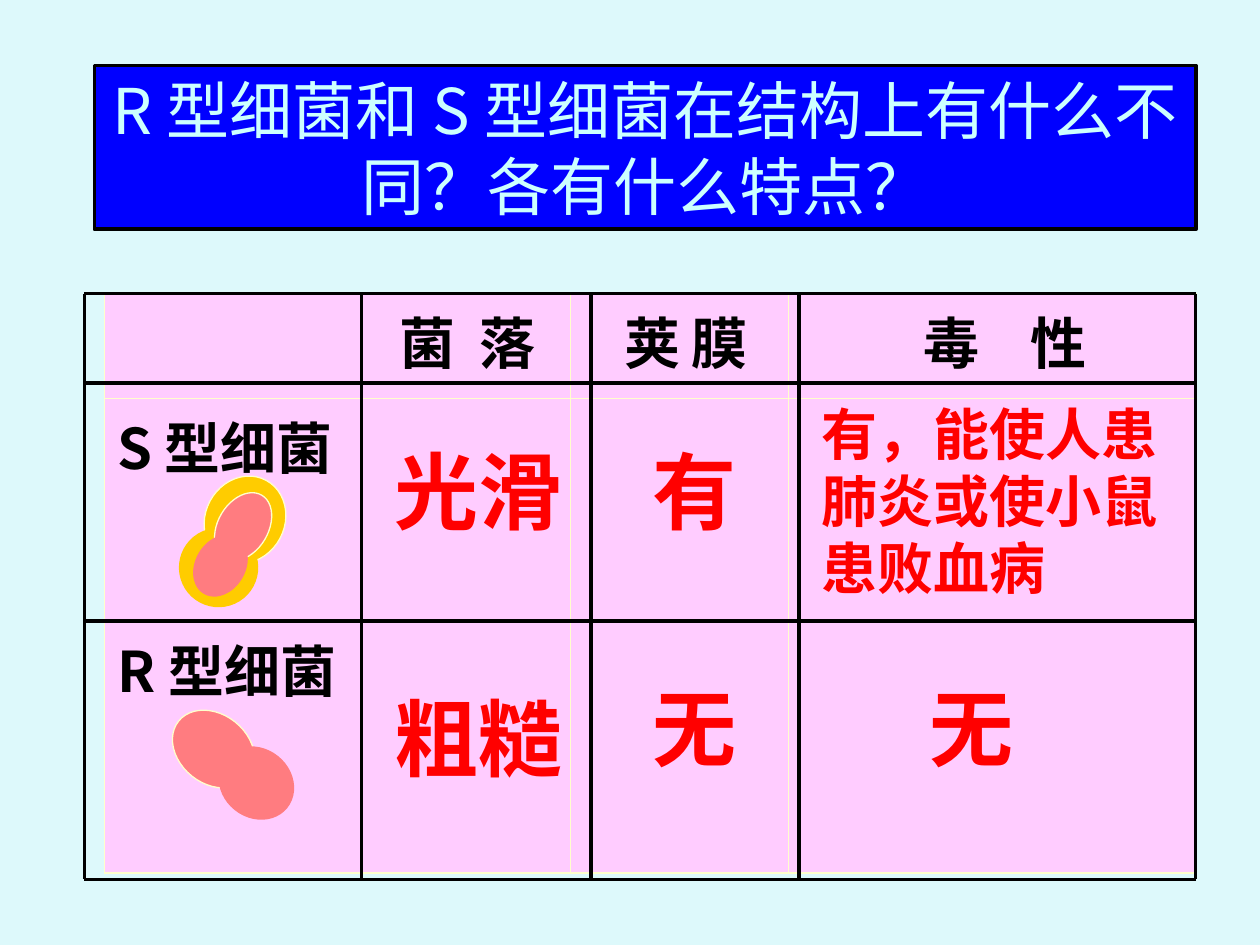
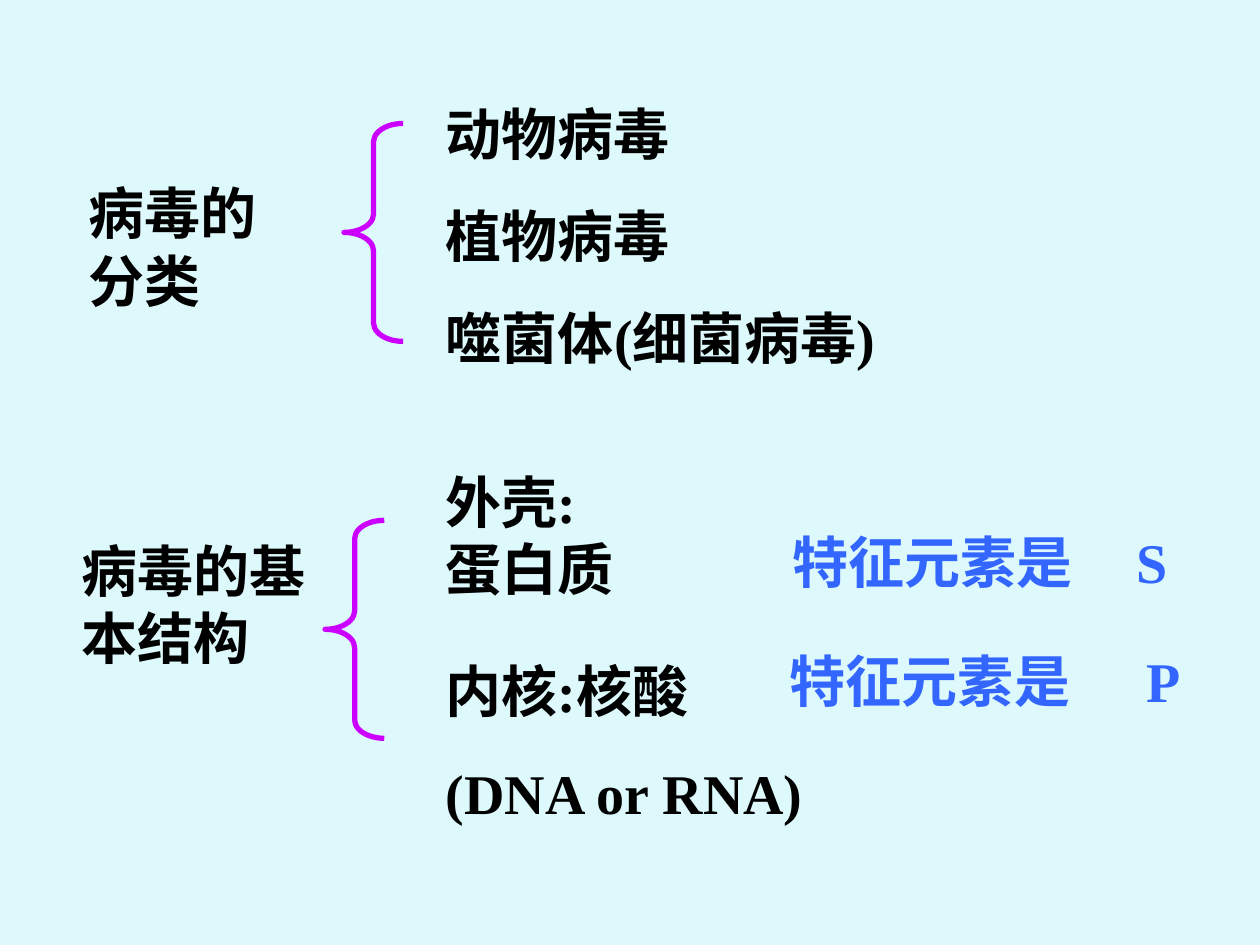
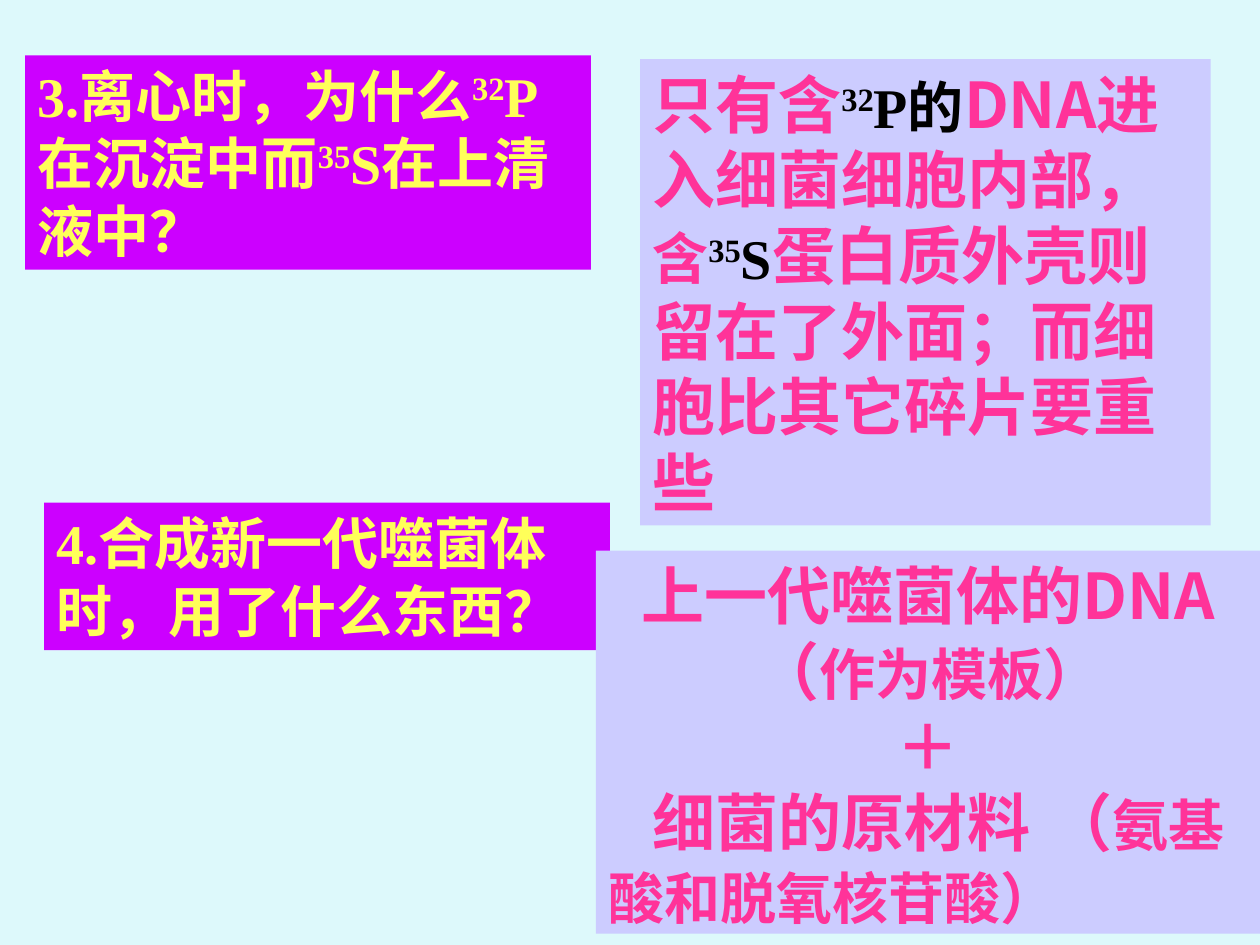
from dataclasses import dataclass

from lxml import etree
from pptx import Presentation
from pptx.dml.color import RGBColor
from pptx.enum.shapes import MSO_CONNECTOR, MSO_SHAPE
from pptx.enum.text import MSO_ANCHOR, MSO_AUTO_SIZE, PP_ALIGN
from pptx.oxml.ns import qn
from pptx.util import Inches, Pt

LEFT, CENTER = PP_ALIGN.LEFT, PP_ALIGN.CENTER
TOP = MSO_ANCHOR.TOP
NO_AUTOFIT = MSO_AUTO_SIZE.NONE
RECTANGLE, OVAL, BRACE = MSO_SHAPE.RECTANGLE, MSO_SHAPE.OVAL, MSO_SHAPE.LEFT_BRACE
STRAIGHT = MSO_CONNECTOR.STRAIGHT
TITLE_ONLY, BLANK = 5, 6


@dataclass(frozen=True)
class Theme:
    background: str = "DDF9FB"
    black: str = "000000"
    title_fill: str = "0000FF"
    title_text: str = "CCFFFF"
    cell: str = "FFCCFF"
    cream: str = "FFFFCC"
    capsule: str = "FFCC00"
    bacterium: str = "FF7C80"
    value: str = "FF0000"
    violet: str = "CC00FF"
    element: str = "3366FF"
    question: str = "FFFF59"
    answer_fill: str = "CCCCFF"
    answer: str = "FF3399"
    sans: str = "Noto Sans CJK SC"
    serif: str = "Times New Roman"
    body: int = 32
    large: int = 36
    huge: int = 48
    inset: float = 0.1
    line_height: float = 1.2


THEME = Theme()


@dataclass(frozen=True)
class Style:
    color: str
    size: int = THEME.body
    font: str = THEME.sans
    bold: bool = True
    raised: bool = False


TITLE = Style(THEME.title_text, THEME.large, bold=False)
LABEL = Style(THEME.black)
VALUE = Style(THEME.value, THEME.huge)
EFFECT = Style(THEME.value)
OUTLINE = Style(THEME.black, font=THEME.serif)
ELEMENT = Style(THEME.element, font=THEME.serif)
QUESTION = Style(THEME.question, font=THEME.serif)
QUESTION_MASS = Style(THEME.question, font=THEME.serif, raised=True)
ANSWER = Style(THEME.answer, THEME.large)
ANSWER_DETAIL = Style(THEME.answer)
ISOTOPE_MASS = Style(THEME.black, font=THEME.serif, raised=True)


def rgb(value):
    return RGBColor.from_string(value)


def inches(*lengths):
    return [Inches(length) for length in lengths]


def style_span(span, style):
    span.font.size = Pt(style.size)
    span.font.bold = style.bold
    span.font.name = style.font
    span.font.color.rgb = rgb(style.color)
    properties = span._r.get_or_add_rPr()
    etree.SubElement(properties, qn("a:ea"), typeface=THEME.sans)
    if style.raised:
        properties.set("baseline", "30000")


def add_tab(para, position):
    stops = etree.SubElement(para._p.get_or_add_pPr(), qn("a:tabLst"))
    etree.SubElement(stops, qn("a:tab"), pos=str(Inches(position)), algn="l")


def write_para(para, spans, align=LEFT, tab=None):
    """Fill a paragraph with (text, style) pairs."""
    para.alignment = align
    para._p.get_or_add_pPr().set("hangingPunct", "0")
    if tab:
        add_tab(para, tab)
    for text, style in spans:
        span = para.add_run()
        span.text = text
        style_span(span, style)


def write_box(box, paras, align=LEFT, gap=0, left=THEME.inset, tab=None):
    """Write paragraphs, each a list of (text, style) pairs."""
    frame = box.text_frame
    frame.word_wrap = True
    frame.auto_size = NO_AUTOFIT
    frame.vertical_anchor = TOP
    frame.margin_left, frame.margin_right = inches(left, THEME.inset)
    frame.margin_top, frame.margin_bottom = inches(0.05, 0.05)
    size = max(style.size for spans in paras for _, style in spans)
    for index, spans in enumerate(paras):
        para = frame.add_paragraph() if index else frame.paragraphs[0]
        para.line_spacing = Pt(THEME.line_height * size)
        para.space_before = Pt(gap if index else 0)
        write_para(para, spans, align, tab)


def add_text(page, place, lines, style, **layout):
    box = page.shapes.add_textbox(*inches(*place))
    write_box(box, [[(line, style)] for line in lines], **layout)


def paint(shape, fill=None, line=None, width=0.75):
    if fill:
        shape.fill.solid()
        shape.fill.fore_color.rgb = rgb(fill)
    else:
        shape.fill.background()
    if line:
        shape.line.color.rgb = rgb(line)
        shape.line.width = Pt(width)
    else:
        shape.line.fill.background()


def add_panel(page, place, fill, paras):
    panel = page.shapes.add_shape(RECTANGLE, *inches(*place))
    panel.shadow.inherit = False
    paint(panel, fill)
    write_box(panel, paras)
    return panel


def add_cells(page, ovals):
    """Group the ovals (place, rotation, fill, outline) of one bacterium."""
    group = page.shapes.add_group_shape()
    for place, rotation, fill, outline in ovals:
        oval = group.shapes.add_shape(OVAL, *inches(*place))
        oval.shadow.inherit = False
        oval.rotation = rotation
        paint(oval, fill, outline)


def add_brace(page, left, top):
    brace = page.shapes.add_shape(BRACE, *inches(left, top, 0.47, 1.73))
    brace.shadow.inherit = False
    brace.adjustments[0] = 0.31
    paint(brace, line=THEME.violet, width=3)


def add_line(page, x1, y1, x2, y2):
    line = page.shapes.add_connector(STRAIGHT, *inches(x1, y1, x2, y2))
    line.line.color.rgb = rgb(THEME.black)
    line.line.width = Pt(2)
    etree.SubElement(line._element.spPr, qn("a:effectLst"))


def add_border(cell, index, side, width):
    line = etree.Element(qn("a:" + side), w=str(Pt(width)))
    fill = etree.SubElement(line, qn("a:solidFill"))
    etree.SubElement(fill, qn("a:srgbClr"), val=THEME.cream)
    cell._tc.get_or_add_tcPr().insert(index, line)


def add_comparison_table(page):
    widths, heights = (2.05, 1.65, 1.73, 3.23), (0.83, 1.77, 2)
    # Cell: text, left inset, tab stop
    texts = {
        (0, 1): ("菌\t落", 0.29, 0.64),
        (0, 2): ("荚\t膜", 0.43, 0.53),
        (0, 3): ("毒\t性", 1.07, 0.85),
        (1, 0): ("S 型细菌", THEME.inset, None),
        (2, 0): ("R 型细菌", THEME.inset, None),
    }
    place = inches(0.83, 2.33, sum(widths), sum(heights))
    table = page.shapes.add_table(len(heights), len(widths), *place).table
    table.first_row = table.horz_banding = False
    for column, width in zip(table.columns, widths):
        column.width = Inches(width)
    for row, height in zip(table.rows, heights):
        row.height = Inches(height)
    for r in range(len(heights)):
        for c in range(len(widths)):
            cell = table.cell(r, c)
            cell.fill.solid()
            cell.fill.fore_color.rgb = rgb(THEME.cell)
            outer = {"lnR": c == len(widths) - 1, "lnB": r == len(heights) - 1}
            for index, side in enumerate(("lnL", "lnR", "lnT", "lnB")):
                add_border(cell, index, side, 1.08 if outer.get(side) else 0.45)
            if (r, c) in texts:
                text, left, tab = texts[r, c]
                cell.margin_left = Inches(left)
                write_para(cell.text_frame.paragraphs[0], [(text, LABEL)], tab=tab)


def build_comparison(deck):
    page = deck.slides.add_slide(deck.slide_layouts[TITLE_ONLY])
    title = page.shapes.title
    title.left, title.top, title.width, title.height = inches(0.75, 0.52, 8.74, 1.3)
    paint(title, THEME.title_fill, THEME.black, 2.25)
    question = "R 型细菌和 S 型细菌在结构上有什么不同？各有什么特点？"
    write_box(title, [[(question, TITLE)]], align=CENTER)

    add_comparison_table(page)

    # S type with its capsule, then R type without one
    add_cells(page, [
        ((1.63, 3.77, 0.63, 0.71), 28.2, THEME.capsule, THEME.cream),
        ((1.42, 4.19, 0.63, 0.63), 28.2, THEME.capsule, None),
        ((1.73, 3.89, 0.4, 0.58), 30.7, THEME.bacterium, THEME.cream),
        ((1.55, 4.23, 0.4, 0.52), 30.7, THEME.bacterium, None),
    ])
    add_cells(page, [
        ((1.42, 5.59, 0.55, 0.71), 308.6, THEME.bacterium, THEME.cream),
        ((1.76, 5.9, 0.55, 0.63), 308.6, THEME.bacterium, None),
    ])

    # Answers over the table
    for text, left, top, width in (
        ("粗糙", 3.03, 5.4, 1.57), ("无", 5.08, 5.32, 1.65),
        ("光滑", 3.03, 3.44, 1.57), ("有", 5.08, 3.44, 1.02),
        ("无", 7.28, 5.32, 1.1),
    ):
        add_text(page, (left, top, width, 0.9), [text], VALUE)
    add_text(page, (6.42, 3.12, 3.23, 1.7),
             ["有，能使人患肺炎或使小鼠患败血病"], EFFECT)

    # Black grid
    columns, rows = (0.67, 2.87, 4.69, 6.34, 9.49), (2.33, 3.04, 4.93, 6.98)
    for x in columns:
        add_line(page, x, rows[0], x, rows[-1])
    for y in rows:
        add_line(page, columns[0], y, columns[-1], y)


def build_virus_outline(deck):
    page = deck.slides.add_slide(deck.slide_layouts[BLANK])
    add_brace(page, 2.58, 4.13)
    add_brace(page, 2.73, 0.98)
    for place, lines in (
        ((0.6, 1.37, 1.65, 1.17), ["病毒的分类"]),
        ((3.44, 0.74, 3.62, 2.79), ["动物病毒", "植物病毒", "噬菌体(细菌病毒)"]),
        ((0.55, 4.21, 2.13, 1.17), ["病毒的基本结构"]),
        ((3.44, 3.66, 1.57, 1.17), ["外壳:蛋白质"]),
        ((3.44, 5.16, 3.54, 1.45), ["内核:核酸", "(DNA or RNA)"]),
    ):
        add_text(page, place, lines, OUTLINE, gap=20)
    add_text(page, (5.94, 4.14, 3.67, 0.64), ["特征元素是\tS"], ELEMENT,
             left=0.35, tab=2.73)
    add_text(page, (6.09, 5.08, 3.44, 0.64), ["特征元素是\tP"], ELEMENT,
             left=0.18, tab=2.83)


def build_questions(deck):
    page = deck.slides.add_slide(deck.slide_layouts[BLANK])
    add_panel(page, (0.2, 0.44, 4.49, 1.7), THEME.violet, [[
        ("3.离心时，为什么", QUESTION), ("32", QUESTION_MASS),
        ("P在沉淀中而", QUESTION), ("35", QUESTION_MASS),
        ("S在上清液中？", QUESTION),
    ]])
    add_panel(page, (5.08, 0.47, 4.53, 3.7), THEME.answer_fill, [[
        ("只有含", ANSWER), ("32", ISOTOPE_MASS), ("P的", OUTLINE),
        ("DNA进入细菌细胞内部，", ANSWER), ("含", ANSWER_DETAIL),
        ("35", ISOTOPE_MASS), ("S", OUTLINE),
        ("蛋白质外壳则留在了外面；而细胞比其它碎片要重些", ANSWER),
    ]])
    add_panel(page, (0.35, 3.99, 4.49, 1.17), THEME.violet,
              [[("4.合成新一代噬菌体时，用了什么东西？", QUESTION)]])
    materials = add_panel(page, (4.73, 4.37, 5.27, 3.04), THEME.answer_fill, [
        [("上一代噬菌体的DNA （", ANSWER), ("作为模板）", ANSWER_DETAIL)],
        [("＋", ANSWER)],
        [("细菌的原材料\t（", ANSWER), ("氨基酸和脱氧核苷酸）", ANSWER_DETAIL)],
    ])
    template, plus, raw = materials.text_frame.paragraphs
    template.alignment = plus.alignment = CENTER
    raw.line_spacing, raw.space_before = Pt(41), Pt(2)
    raw._p.get_or_add_pPr().set("indent", str(Inches(0.35)))
    add_tab(raw, 4.25)


def main():
    deck = Presentation()
    deck.slide_width, deck.slide_height = inches(10, 7.5)
    backdrop = deck.slide_master.background.fill
    backdrop.solid()
    backdrop.fore_color.rgb = rgb(THEME.background)
    build_comparison(deck)
    build_virus_outline(deck)
    build_questions(deck)
    deck.save("out.pptx")


if __name__ == "__main__":
    main()
